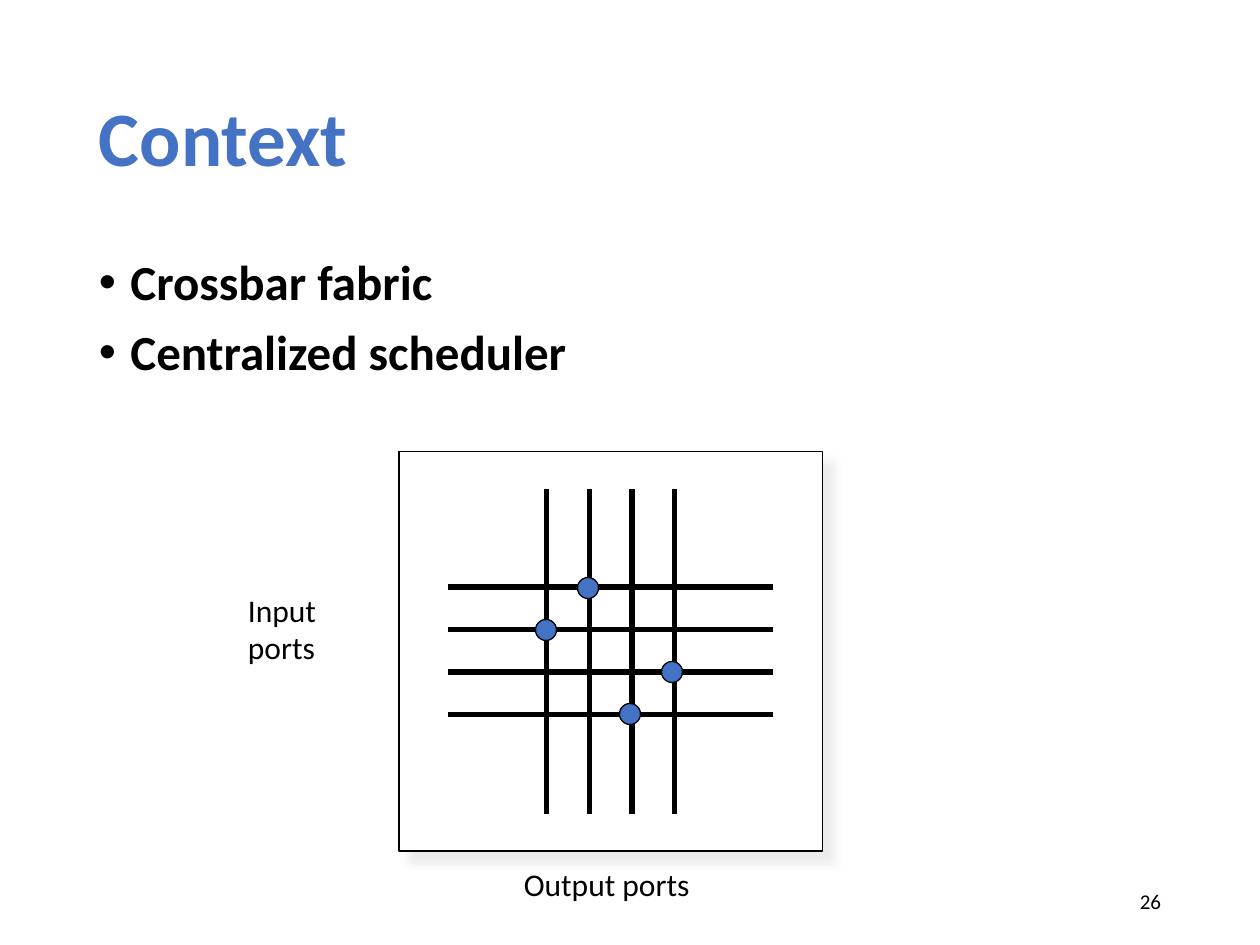
from lxml import etree
from pptx import Presentation
from pptx.dml.color import RGBColor
from pptx.enum import shapes, text
from pptx.oxml import ns
from pptx.util import Pt

HUES = {"ink": "000000", "blue": "4472C4", "white": "FFFFFF", "shade": "E7E6E6"}


def add_text(lines, box, size, hue="ink", bold=False, side="LEFT", anchor="TOP"):
    """Add a text box with one paragraph per line."""
    frame = slide.shapes.add_textbox(*map(Pt, box)).text_frame
    frame.word_wrap = True
    frame.vertical_anchor = getattr(text.MSO_ANCHOR, anchor)
    for i, line in enumerate(lines):
        para = frame.add_paragraph() if i else frame.paragraphs[0]
        para.alignment = getattr(text.PP_ALIGN, side)
        run = para.add_run()
        run.text = line
        run.font.name = "Calibri"
        run.font.size = Pt(size)
        run.font.bold = bold
        run.font.color.rgb = RGBColor.from_string(HUES[hue])
    return frame


def add_form(kind, box, fill, width):
    form = slide.shapes.add_shape(kind, *map(Pt, box))
    form.shadow.inherit = False
    form.fill.solid()
    form.fill.fore_color.rgb = RGBColor.from_string(HUES[fill])
    form.line.color.rgb = RGBColor.from_string(HUES["ink"])
    form.line.width = Pt(width)
    return form


deck = Presentation()
deck.slide_width, deck.slide_height = Pt(720), Pt(540)
slide = deck.slides.add_slide(deck.slide_layouts[6])

# Title and bullets
title = add_text(["Context"], (49.5, 28.75, 621, 104.4), 44, "blue", True, anchor="MIDDLE")
title.paragraphs[0].line_spacing = 0.9
points = ["Crossbar fabric", "Centralized scheduler"]
body = add_text(points, (49.5, 143.75, 621, 342.6), 28, bold=True)
for para in body.paragraphs:
    para.line_spacing = 0.9
    para.space_before = Pt(10)
    props = para._p.get_or_add_pPr()
    props.set("marL", str(Pt(18)))
    props.set("indent", str(Pt(-18)))
    etree.SubElement(props, ns.qn("a:buFont")).set("typeface", "Arial")
    etree.SubElement(props, ns.qn("a:buChar")).set("char", "•")

# Crossbar frame with its soft shadow
frame = add_form(shapes.MSO_SHAPE.RECTANGLE, (228, 258, 242, 228.5), "white", 1)
effects = frame._element.spPr.find(ns.qn("a:effectLst"))
shadow = etree.SubElement(effects, ns.qn("a:outerShdw"), blurRad=str(Pt(5)),
                          dist=str(Pt(8.5)), dir="2700000", algn="tl", rotWithShape="0")
shade = etree.SubElement(shadow, ns.qn("a:srgbClr"), val=HUES["shade"])
etree.SubElement(shade, ns.qn("a:alpha"), val="75000")

# Four output columns and four input rows
STEP = 24.3
wires = [(312.5 + STEP * i, 279.5, 312.5 + STEP * i, 465) for i in range(4)]
wires += [(256, 335.4 + STEP * i, 441.7, 335.4 + STEP * i) for i in range(4)]
for ends in wires:
    wire = slide.shapes.add_connector(shapes.MSO_CONNECTOR.STRAIGHT, *map(Pt, ends))
    wire.line.color.rgb = RGBColor.from_string(HUES["ink"])
    wire.line.width = Pt(3)
    etree.SubElement(wire._element.spPr, ns.qn("a:effectLst"))

# Closed crosspoints: the column joined to each row
for row, col in enumerate([1, 0, 3, 2]):
    add_form(shapes.MSO_SHAPE.OVAL, (306 + 24 * col, 330 + 24 * row, 12, 12), "blue", 0.75)

# Labels and page number
add_text(["Input", "ports"], (134.6, 334, 87, 80), 18)
add_text(["Output ports"], (236.9, 490.5, 219.6, 31.7), 18, side="CENTER")
add_text(["26"], (508.5, 500.5, 162, 28.8), 12, side="RIGHT", anchor="MIDDLE")

deck.save("out.pptx")
